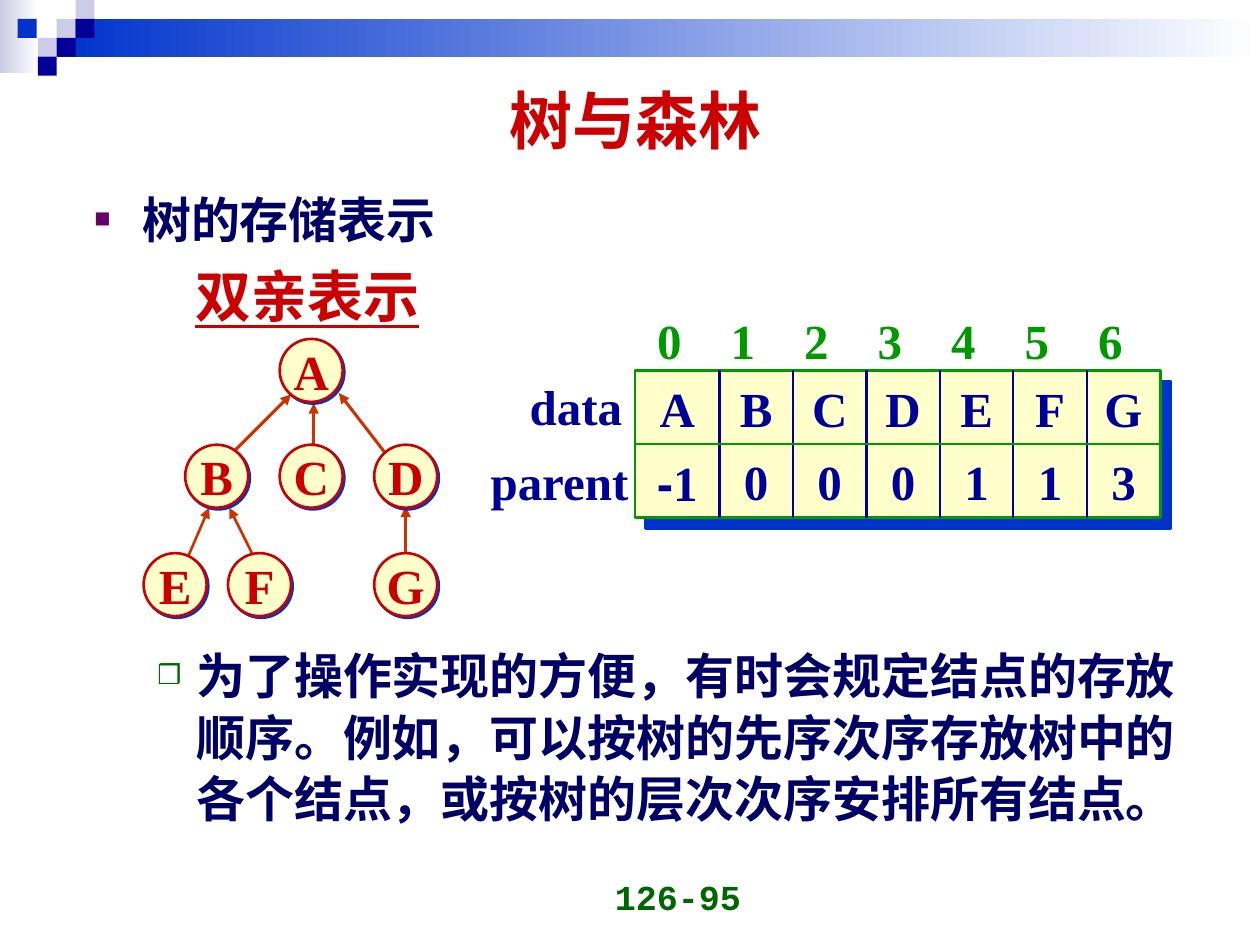
from dataclasses import dataclass

from lxml import etree
from pptx import Presentation
from pptx.dml.color import RGBColor
from pptx.enum.shapes import MSO_CONNECTOR, MSO_SHAPE
from pptx.enum.text import MSO_ANCHOR, PP_ALIGN
from pptx.oxml import parse_xml
from pptx.oxml.ns import nsdecls, qn
from pptx.util import Inches, Pt

RECT, OVAL = MSO_SHAPE.RECTANGLE, MSO_SHAPE.OVAL
STRAIGHT = MSO_CONNECTOR.STRAIGHT
LEFT, CENTER, RIGHT = PP_ALIGN.LEFT, PP_ALIGN.CENTER, PP_ALIGN.RIGHT
TOP, MIDDLE, BOTTOM = MSO_ANCHOR.TOP, MSO_ANCHOR.MIDDLE, MSO_ANCHOR.BOTTOM

COLORS = {
    "white": "FFFFFF", "lavender": "CCCCE6", "blue": "0033CC",
    "navy": "000099", "ink": "000066", "red": "CC0000", "arrow": "CC3300",
    "cream": "FFFFCC", "green": "009900", "dark_green": "006600", "purple": "660066",
}
SERIF, SANS, MONO, CJK = "Times New Roman", "Arial", "Courier New", "Noto Sans CJK SC"
SQUARE, NODE_SIZE = 0.15, 0.5
ARRAY_LEFT, ARRAY_TOP, ARRAY_WIDTH, ROW_HEIGHT = 5.04, 2.94, 4.17, 0.585
FIRST_COLUMN = 0.67
COLUMN = (ARRAY_WIDTH - FIRST_COLUMN) / 6


@dataclass
class Node:
    name: str
    left: float
    top: float


@dataclass
class Edge:
    parent_end: tuple[float, float]
    child_end: tuple[float, float]
    width: float


SQUARES = [
    (0.45, 0.15, "lavender"), (0.6, 0, "lavender"), (0.6, 0.15, "navy"),
    (0.3, 0.3, "lavender"), (0.14, 0.15, "blue"), (0.45, 0.3, "navy"),
    (0.3, 0.45, "navy"),
]
NODES = [
    Node("A", 2.22, 2.69),
    Node("B", 1.47, 3.53), Node("C", 2.22, 3.53), Node("D", 2.97, 3.53),
    Node("E", 1.14, 4.39), Node("F", 1.81, 4.39), Node("G", 2.97, 4.39),
]
EDGES = [
    Edge((2.31, 3.13), (1.81, 3.63), 1.75),
    Edge((2.49, 3.2), (2.49, 3.7), 1.75),
    Edge((2.69, 3.12), (3.27, 3.87), 1.75),
    Edge((1.66, 4.03), (1.41, 4.61), 1.5),
    Edge((1.82, 4.03), (2.07, 4.53), 1.5),
    Edge((3.22, 4.02), (3.22, 4.61), 1.5),
]
ARRAY_ROWS = [list("ABCDEFG"), ["-1", "0", "0", "0", "1", "1", "3"]]


def rgb(name: str) -> RGBColor:
    return RGBColor.from_string(COLORS[name])


def write(para, text: str, *, color: str, size: float = 28, font: str = SERIF,
          align=CENTER, underline: bool = False) -> None:
    para.alignment = align
    span = para.add_run()
    span.text = text
    span.font.size, span.font.name = Pt(size), font
    span.font.bold, span.font.underline = True, underline
    span.font.color.rgb = rgb(color)
    etree.SubElement(span.font._element, qn("a:ea")).set("typeface", CJK)


def add_text_box(page, left: float, top: float, width: float, height: float, *,
                 anchor=MIDDLE):
    box = page.shapes.add_textbox(Inches(left), Inches(top), Inches(width), Inches(height))
    box.text_frame.word_wrap = True
    box.text_frame.vertical_anchor = anchor
    return box.text_frame


def set_indent(para, margin: float, hanging: float = 0, bullet: str = "",
               bullet_color: str = "ink") -> None:
    properties = para._p.get_or_add_pPr()
    properties.set("marL", str(Inches(margin)))
    properties.set("indent", str(-Inches(hanging)))
    if bullet:
        color = etree.SubElement(properties, qn("a:buClr"))
        etree.SubElement(color, qn("a:srgbClr")).set("val", COLORS[bullet_color])
        etree.SubElement(properties, qn("a:buSzPct")).set("val", "55000")
        etree.SubElement(properties, qn("a:buFont")).set("typeface", SANS)
        etree.SubElement(properties, qn("a:buChar")).set("char", bullet)
    para.line_spacing = 1.05


def add_block(page, kind, left: float, top: float, width: float, height: float, *,
              fill: str, fade_to: str = "", line: str = "", shadow: float = 0):
    shape = page.shapes.add_shape(kind, Inches(left), Inches(top), Inches(width), Inches(height))
    shape.shadow.inherit = False
    if fade_to:
        shape.fill.gradient()
        shape.fill.gradient_angle = 0
        for stop, color in zip(shape.fill.gradient_stops, (fill, fade_to)):
            stop.color.rgb = rgb(color)
    else:
        shape.fill.solid()
        shape.fill.fore_color.rgb = rgb(fill)
    if line:
        shape.line.color.rgb = rgb(line)
        shape.line.width = Pt(1.5)
    else:
        shape.line.fill.background()
    if shadow:
        shape._element.spPr.find(qn("a:effectLst")).append(parse_xml(
            f'<a:outerShdw {nsdecls("a")} dist="{Pt(shadow)}" dir="2700000" algn="ctr" '
            f'rotWithShape="0"><a:srgbClr val="{COLORS["blue"]}"/></a:outerShdw>'))
    return shape


def draw_edge(page, edge: Edge) -> None:
    ends = [Inches(value) for value in (*edge.parent_end, *edge.child_end)]
    arrow = page.shapes.add_connector(STRAIGHT, *ends)
    arrow.line.color.rgb = rgb("arrow")
    arrow.line.width = Pt(edge.width)
    etree.SubElement(arrow.line._get_or_add_ln(), qn("a:headEnd")).set("type", "triangle")
    etree.SubElement(arrow._element.spPr, qn("a:effectLst"))


def draw_node(page, node: Node) -> None:
    circle = add_block(page, OVAL, node.left, node.top, NODE_SIZE, NODE_SIZE,
                       fill="cream", line="red", shadow=1.4)
    frame = circle.text_frame
    frame.margin_left = frame.margin_right = frame.margin_top = frame.margin_bottom = 0
    frame.word_wrap, frame.vertical_anchor = False, MIDDLE
    write(frame.paragraphs[0], node.name, color="red")


def set_borders(cell, borders: dict[str, str]) -> None:
    properties = cell._tc.get_or_add_tcPr()
    for position, side in enumerate(("lnL", "lnR", "lnT", "lnB")):
        color = borders.get(side)
        paint = (f'<a:solidFill><a:srgbClr val="{COLORS[color]}"/></a:solidFill>'
                 if color else "<a:noFill/>")
        properties.insert(position, parse_xml(
            f'<a:{side} {nsdecls("a")} w="{Pt(1.5)}">{paint}</a:{side}>'))


def draw_array(page) -> None:
    place = (ARRAY_LEFT, ARRAY_TOP, ARRAY_WIDTH, 2 * ROW_HEIGHT)
    add_block(page, RECT, *place, fill="cream", line="green", shadow=8.5)
    table = page.shapes.add_table(2, 7, *map(Inches, place)).table
    table.first_row = table.horz_banding = False
    for index, column in enumerate(table.columns):
        column.width = Inches(COLUMN if index else FIRST_COLUMN)
    for row, values in enumerate(ARRAY_ROWS):
        for column, value in enumerate(values):
            cell = table.cell(row, column)
            cell.margin_left = cell.margin_right = cell.margin_bottom = 0
            cell.margin_top = Inches(0.05)
            cell.vertical_anchor = MIDDLE
            cell.fill.background()
            borders = {"lnB" if row == 0 else "lnT": "green"}
            if column > 0:
                borders["lnL"] = "navy"
            if column < 6:
                borders["lnR"] = "navy"
            set_borders(cell, borders)
            for mark in value:
                write(cell.text_frame.paragraphs[0], mark, color="navy",
                      font=SANS if mark == "-" else SERIF)
    for index in range(7):
        label = add_text_box(page, 5.02 + index * COLUMN, 2.41, COLUMN, 0.57)
        write(label.paragraphs[0], str(index), color="green")
    for name, left, top, width in (("data", 3.97, 2.94, 1.2), ("parent", 3.74, 3.53, 1.4)):
        label = add_text_box(page, left, top, width, 0.57)
        write(label.paragraphs[0], name, color="navy")


def main() -> None:
    deck = Presentation()
    deck.slide_width, deck.slide_height = Inches(10), Inches(7.5)
    page = deck.slides.add_slide(deck.slide_layouts[6])

    add_block(page, RECT, 0, 0, 0.31, 0.58, fill="lavender", fade_to="white")
    add_block(page, RECT, 0.45, 0.15, 9.55, 0.3, fill="blue", fade_to="white")
    for left, top, color in SQUARES:
        add_block(page, RECT, left, top, SQUARE, SQUARE, fill=color)

    title = add_text_box(page, 2.99, 0.52, 4.11, 0.86)
    write(title.paragraphs[0], "树与森林", color="red", size=36)

    heading = add_text_box(page, 0.65, 1.43, 8.84, 1.2, anchor=TOP)
    topic, method = heading.paragraphs[0], heading.add_paragraph()
    set_indent(topic, 0.38, 0.38, "■", "purple")
    write(topic, "树的存储表示", color="ink", font=SANS, align=LEFT)
    set_indent(method, 0.8)
    method.space_before = Pt(6)
    write(method, "双亲表示", color="red", size=32, align=LEFT, underline=True)

    note = add_text_box(page, 0.65, 5.05, 8.84, 1.6, anchor=TOP).paragraphs[0]
    set_indent(note, 0.81, 0.31, "❒", "dark_green")
    write(note, "为了操作实现的方便，有时会规定结点的存放顺序。例如，可以按树的先序次序存放树中的"
          "各个结点，或按树的层次次序安排所有结点。", color="ink", align=LEFT)

    for edge in EDGES:
        draw_edge(page, edge)
    for node in NODES:
        draw_node(page, node)
    draw_array(page)

    footer = add_text_box(page, 3.65, 6.83, 2.33, 0.5, anchor=BOTTOM)
    write(footer.paragraphs[0], "126-95", color="dark_green", size=20, font=MONO, align=RIGHT)
    deck.save("out.pptx")


if __name__ == "__main__":
    main()
